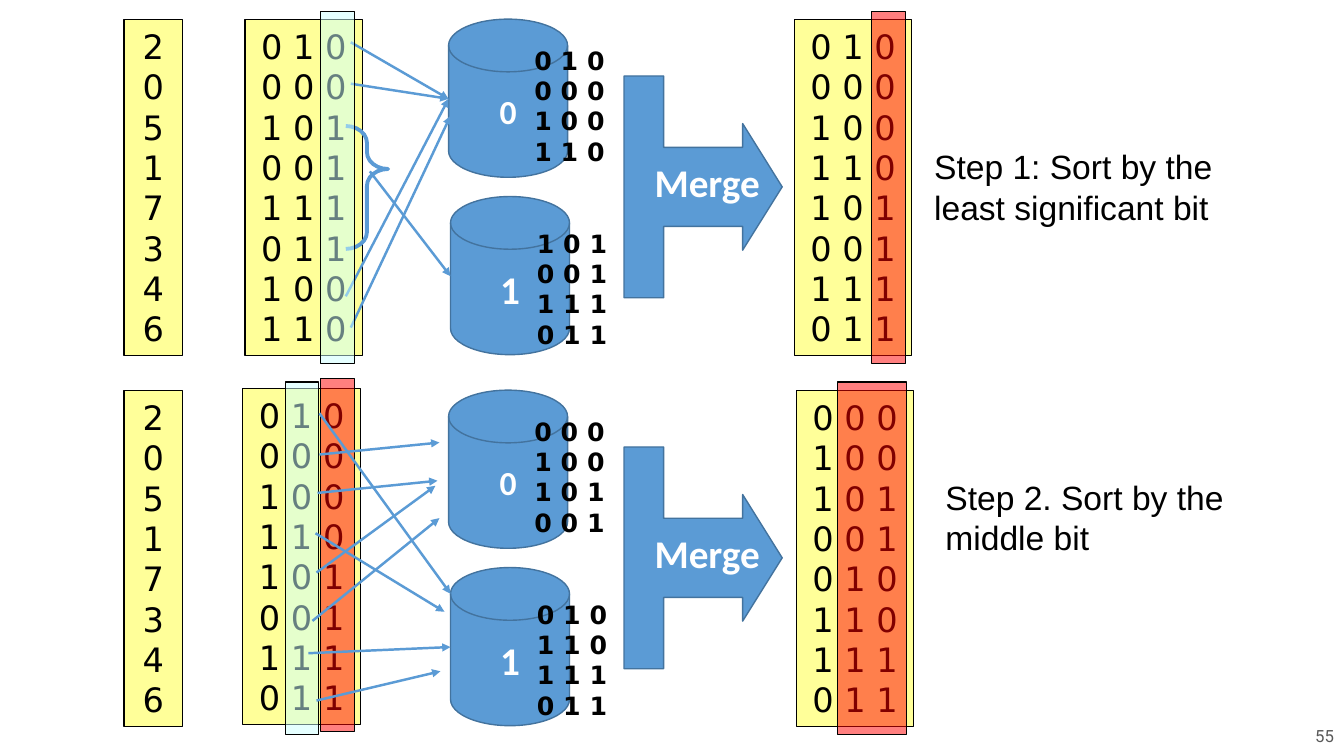
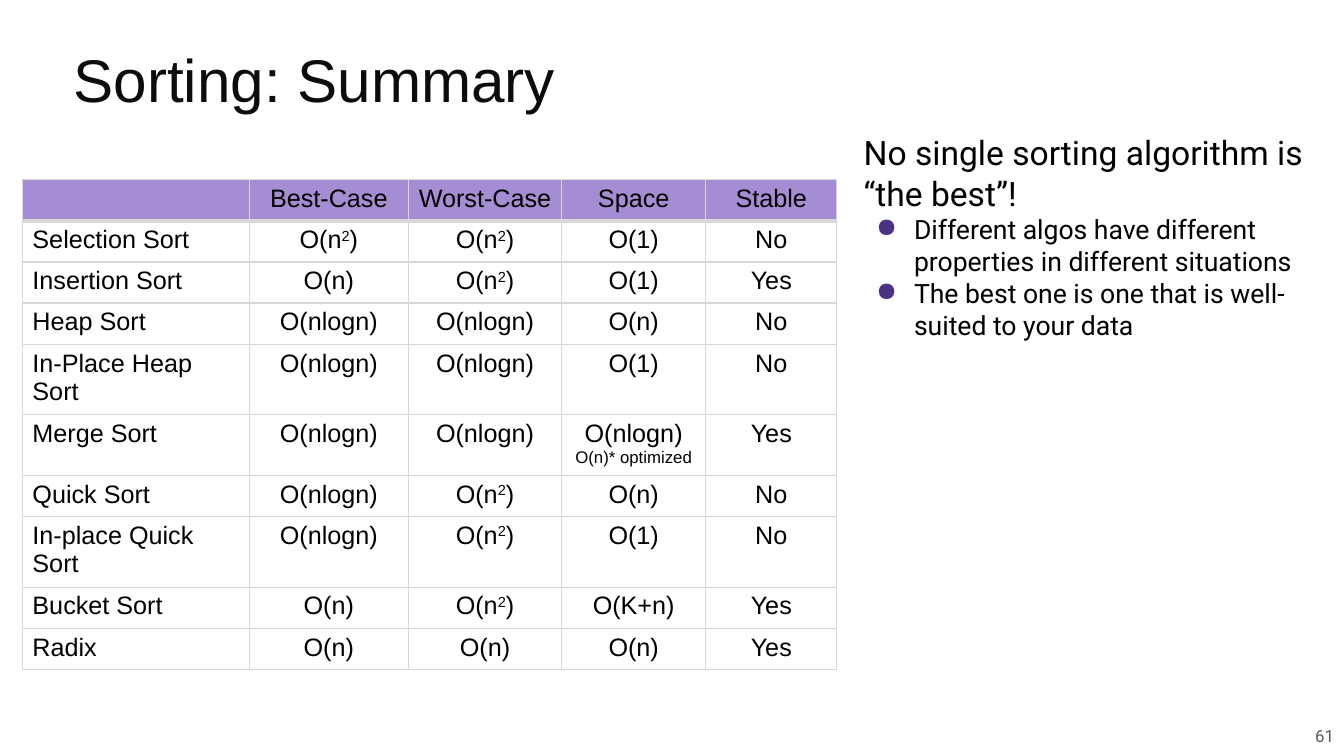
from dataclasses import dataclass

from lxml.etree import SubElement
from pptx import Presentation
from pptx.dml.color import RGBColor
from pptx.enum.shapes import MSO_CONNECTOR, MSO_SHAPE
from pptx.enum.text import MSO_ANCHOR, MSO_AUTO_SIZE, PP_ALIGN
from pptx.oxml.ns import qn
from pptx.util import Pt


@dataclass(frozen=True)
class Theme:
    black: RGBColor = RGBColor.from_string("000000")
    white: RGBColor = RGBColor.from_string("FFFFFF")
    title: RGBColor = RGBColor.from_string("0C0C0C")
    footer: RGBColor = RGBColor.from_string("595959")
    paper: RGBColor = RGBColor.from_string("FFFF99")
    sorted_bits: RGBColor = RGBColor.from_string("FF0000")
    current_bit: RGBColor = RGBColor.from_string("CCFFFF")
    blue: RGBColor = RGBColor.from_string("5B9BD5")
    blue_edge: RGBColor = RGBColor.from_string("43739E")
    header: RGBColor = RGBColor.from_string("A48DD3")
    grid: str = "D8D8D8"
    bullet: str = "4C3282"
    title_size: float = 43
    label_size: float = 28
    digit_size: float = 24
    body_size: float = 18
    bullet_size: float = 19
    small_size: float = 12
    sans: str = "Arial"
    digits: str = "DejaVu Sans"
    label: str = "Calibri"
    text: str = "Roboto"


theme = Theme()


def write(frame, lines, size=theme.body_size, font=theme.sans, color=theme.black,
          bold=False, align=PP_ALIGN.LEFT, anchor=MSO_ANCHOR.TOP, wrap=True,
          bullet=None, append=False):
    """Fill a text frame, one paragraph a line; "²" becomes a raised 2."""
    frame.word_wrap = wrap
    frame.vertical_anchor = anchor
    for number, line in enumerate(lines):
        paragraph = frame.add_paragraph() if append or number else frame.paragraphs[0]
        paragraph.alignment = align
        if bullet:
            properties = paragraph._p.get_or_add_pPr()
            properties.set("marL", str(Pt(36)))
            properties.set("indent", str(-Pt(27)))
            bullet_color = SubElement(properties, qn("a:buClr"))
            SubElement(bullet_color, qn("a:srgbClr"), val=theme.bullet)
            SubElement(properties, qn("a:buChar"), char=bullet)
        before, square, after = line.partition("²")
        for piece in filter(None, (before, square, after)):
            run = paragraph.add_run()
            run.text = "2" if piece == "²" else piece
            run.font.size = Pt(size)
            run.font.name = font
            run.font.bold = bold
            run.font.color.rgb = color
            if piece == "²":
                run.font._element.set("baseline", "30000")


def draw(slide, kind, box, fill=None, line=theme.black, width=0.75, alpha=None,
         adjustments=()):
    """Add a flat preset shape; alpha is the opacity of its fill in percent."""
    shape = slide.shapes.add_shape(kind, *map(Pt, box))
    shape.shadow.inherit = False
    shape.line.color.rgb = line
    shape.line.width = Pt(width)
    for index, value in enumerate(adjustments):
        shape.adjustments[index] = value
    if fill is None:
        shape.fill.background()
    else:
        shape.fill.solid()
        shape.fill.fore_color.rgb = fill
    if alpha:
        color = shape._element.spPr.find(f"{qn('a:solidFill')}/{qn('a:srgbClr')}")
        SubElement(color, qn("a:alpha"), val=str(alpha * 1000))
    return shape


presentation = Presentation()
presentation.slide_width = Pt(960)
presentation.slide_height = Pt(540)
radix_slide = presentation.slides.add_slide(presentation.slide_layouts[6])
summary_slide = presentation.slides.add_slide(presentation.slide_layouts[5])

for slide, page in ((radix_slide, "55"), (summary_slide, "61")):
    footer = slide.shapes.add_textbox(Pt(623), Pt(511), Pt(337), Pt(29)).text_frame
    write(footer, [page], size=theme.small_size, font=theme.text, color=theme.footer,
          align=PP_ALIGN.RIGHT, anchor=MSO_ANCHOR.MIDDLE)

# Radix sort: places below are measured from the top of each step
STEP_HEIGHT = 265
COLUMN_HEIGHT, BAR_HEIGHT = 240, 252
BIT_WIDTH = 24
numbers = list("20517346")
steps = [
    {
        "before": (175, 13.7, ["0 1 0", "0 0 0", "1 0 1", "0 0 1",
                               "1 1 1", "0 1 1", "1 0 0", "1 1 0"]),
        "after": (567.4, 13.7, ["0 1 0", "0 0 0", "1 0 0", "1 1 0",
                                "1 0 1", "0 0 1", "1 1 1", "0 1 1"]),
        "buckets": [["0 1 0", "0 0 0", "1 0 0", "1 1 0"],
                    ["1 0 1", "0 0 1", "1 1 1", "0 1 1"]],
        "marks": [
            ("sorted", 622.8, 7.9, BIT_WIDTH, BAR_HEIGHT),
            ("arrow", 250.6, 30.2, 320.4, 70.6),
            ("arrow", 250.6, 59.8, 320.4, 70.6),
            ("arrow", 247, 211.7, 320.4, 70.6),
            ("arrow", 250.6, 234, 321.8, 82.8),
            ("brace", 247, 90, 30.2, 87.8),
            ("arrow", 264.2, 122.4, 321.8, 197.3),
            ("current", 229, 7.9, BIT_WIDTH, BAR_HEIGHT),
        ],
        "note": (660.2, 100.8, 244, "Step 1: Sort by the least significant bit"),
    },
    {
        "before": (173.5, 12.2, ["0 1 0", "0 0 0", "1 0 0", "1 1 0",
                                 "1 0 1", "0 0 1", "1 1 1", "0 1 1"]),
        "after": (568.8, 13.7, ["0 0 0", "1 0 0", "1 0 1", "0 0 1",
                                "0 1 0", "1 1 0", "1 1 1", "0 1 1"]),
        "buckets": [["0 0 0", "1 0 0", "1 0 1", "0 0 1"],
                    ["0 1 0", "1 1 0", "1 1 1", "0 1 1"]],
        "marks": [
            ("sorted", 229, 5.7, BIT_WIDTH, BAR_HEIGHT),
            ("current", 203.8, 7.9, BIT_WIDTH, BAR_HEIGHT),
            ("sorted", 598.3, 7.9, 49, BAR_HEIGHT),
            ("arrow", 228.2, 30.2, 321.8, 159.1),
            ("arrow", 228.2, 59.7, 313.9, 51.1),
            ("arrow", 226.1, 144, 311, 82),
            ("arrow", 223.2, 178.5, 313.9, 105.1),
            ("arrow", 220.3, 201.6, 321.8, 197.2),
            ("arrow", 226.8, 87.1, 312.5, 78.4),
            ("arrow", 225.4, 115.9, 317.5, 172),
            ("arrow", 226.1, 235.4, 314.6, 214.5),
        ],
        "note": (668.2, 72, 216, "Step 2. Sort by the middle bit"),
    },
]
disks = [("0", 320.4, 13.7, theme.digit_size), ("1", 321.8, 140.4, theme.label_size)]
bucket_places = [(365.8, 28.8), (367.6, 159.5)]

for index, step in enumerate(steps):
    top = index * STEP_HEIGHT
    for left, y, lines in ((88.6, 13.7, numbers), step["before"], step["after"]):
        column_width = 42 if lines is numbers else 84
        column = draw(radix_slide, MSO_SHAPE.FLOWCHART_PROCESS,
                      (left, top + y, column_width, COLUMN_HEIGHT), fill=theme.paper)
        write(column.text_frame, lines, size=theme.digit_size, font=theme.digits,
              align=PP_ALIGN.CENTER, anchor=MSO_ANCHOR.MIDDLE, wrap=False)

    for digit, left, y, size in disks:
        disk = draw(radix_slide, MSO_SHAPE.FLOWCHART_MAGNETIC_DISK,
                    (left, top + y, 85, 113), fill=theme.blue, line=theme.blue_edge, width=1)
        write(disk.text_frame, [digit], size=size, font=theme.label, color=theme.white,
              bold=True, align=PP_ALIGN.CENTER, anchor=MSO_ANCHOR.MIDDLE)

    for kind, left, y, *rest in step["marks"]:
        if kind == "arrow":
            end_x, end_y = rest
            arrow = radix_slide.shapes.add_connector(
                MSO_CONNECTOR.STRAIGHT, Pt(left), Pt(top + y), Pt(end_x), Pt(top + end_y))
            arrow.line.color.rgb = theme.blue
            arrow.line.width = Pt(1.75)
            properties = arrow._element.spPr
            SubElement(properties.find(qn("a:ln")), qn("a:tailEnd"), type="triangle")
            SubElement(properties, qn("a:effectLst"))
        elif kind == "brace":
            draw(radix_slide, MSO_SHAPE.RIGHT_BRACE, (left, top + y, *rest),
                 line=theme.blue, width=2.75, adjustments=(0.4, 0.35))
        else:
            fill = theme.sorted_bits if kind == "sorted" else theme.current_bit
            draw(radix_slide, MSO_SHAPE.RECTANGLE, (left, top + y, *rest),
                 fill=fill, alpha=50)

    for (left, y), lines in zip(bucket_places, step["buckets"]):
        bucket = radix_slide.shapes.add_textbox(Pt(left), Pt(top + y), Pt(82), Pt(94))
        write(bucket.text_frame, lines, font=theme.digits, bold=True, align=PP_ALIGN.CENTER)

    merge = draw(radix_slide, MSO_SHAPE.UP_ARROW_CALLOUT, (423, top + 77, 158.4, 113),
                 fill=theme.blue, line=theme.blue_edge, width=1,
                 adjustments=(0.5, 0.4, 0.25, 0.25))
    merge.rotation = 90
    merge_label = radix_slide.shapes.add_textbox(Pt(460.5), Pt(top + 109.4), Pt(92), Pt(41))
    write(merge_label.text_frame, ["Merge"], size=theme.label_size, font=theme.label,
          color=theme.white, bold=True)

    left, y, note_width, note_text = step["note"]
    note = radix_slide.shapes.add_textbox(Pt(left), Pt(top + y), Pt(note_width), Pt(65.5))
    write(note.text_frame, [note_text], size=theme.digit_size)

# Summary of the sorts
title = summary_slide.shapes.title
title.left, title.top, title.width, title.height = Pt(45.4), Pt(21), Pt(880), Pt(80)
title.text_frame.auto_size = MSO_AUTO_SIZE.NONE
write(title.text_frame, ["Sorting: Summary"], size=theme.title_size, color=theme.title,
      anchor=MSO_ANCHOR.MIDDLE)
title.text_frame.paragraphs[0].line_spacing = 0.8

rows = [
    ("", "Best-Case", "Worst-Case", "Space", "Stable"),
    ("Selection Sort", "O(n²)", "O(n²)", "O(1)", "No"),
    ("Insertion Sort", "O(n)", "O(n²)", "O(1)", "Yes"),
    ("Heap Sort", "O(nlogn)", "O(nlogn)", "O(n)", "No"),
    ("In-Place Heap Sort", "O(nlogn)", "O(nlogn)", "O(1)", "No"),
    ("Merge Sort", "O(nlogn)", "O(nlogn)", "O(nlogn)\nO(n)* optimized", "Yes"),
    ("Quick Sort", "O(nlogn)", "O(n²)", "O(n)", "No"),
    ("In-place Quick Sort", "O(nlogn)", "O(n²)", "O(1)", "No"),
    ("Bucket Sort", "O(n)", "O(n²)", "O(K+n)", "Yes"),
    ("Radix", "O(n)", "O(n)", "O(n)", "Yes"),
]
column_widths = (162, 113.8, 109.4, 103, 93.6)
ROW_HEIGHT = 29.4
table = summary_slide.shapes.add_table(
    len(rows), len(column_widths), Pt(16), Pt(128.3),
    Pt(sum(column_widths)), Pt(ROW_HEIGHT * len(rows))).table
table.first_row = table.horz_banding = False
for column, width in zip(table.columns, column_widths):
    column.width = Pt(width)

for row_index, row in enumerate(rows):
    table.rows[row_index].height = Pt(ROW_HEIGHT)
    for column_index, content in enumerate(row):
        cell = table.cell(row_index, column_index)
        borders = {"lnL": 1, "lnR": 1,
                   "lnT": 3 if row_index == 1 else 1, "lnB": 3 if row_index == 0 else 1}
        for edge, width in borders.items():
            border = SubElement(cell._tc.get_or_add_tcPr(), qn(f"a:{edge}"), w=str(Pt(width)))
            border_fill = SubElement(border, qn("a:solidFill"))
            SubElement(border_fill, qn("a:srgbClr"), val=theme.grid)
        cell.fill.solid()
        cell.fill.fore_color.rgb = theme.white if row_index else theme.header
        align = PP_ALIGN.CENTER if column_index else PP_ALIGN.LEFT
        main, *remarks = content.split("\n")
        write(cell.text_frame, [main], align=align)
        write(cell.text_frame, remarks, size=theme.small_size, align=align, append=True)

advice = summary_slide.shapes.add_textbox(Pt(609.8), Pt(91), Pt(334.8), Pt(178)).text_frame
write(advice, ["No single sorting algorithm is “the best”!"],
      size=theme.digit_size, font=theme.text)
write(advice, ["Different algos have different properties in different situations",
               "The best one is one that is well-suited to your data"],
      size=theme.bullet_size, font=theme.text, bullet="●", append=True)

presentation.save("out.pptx")
